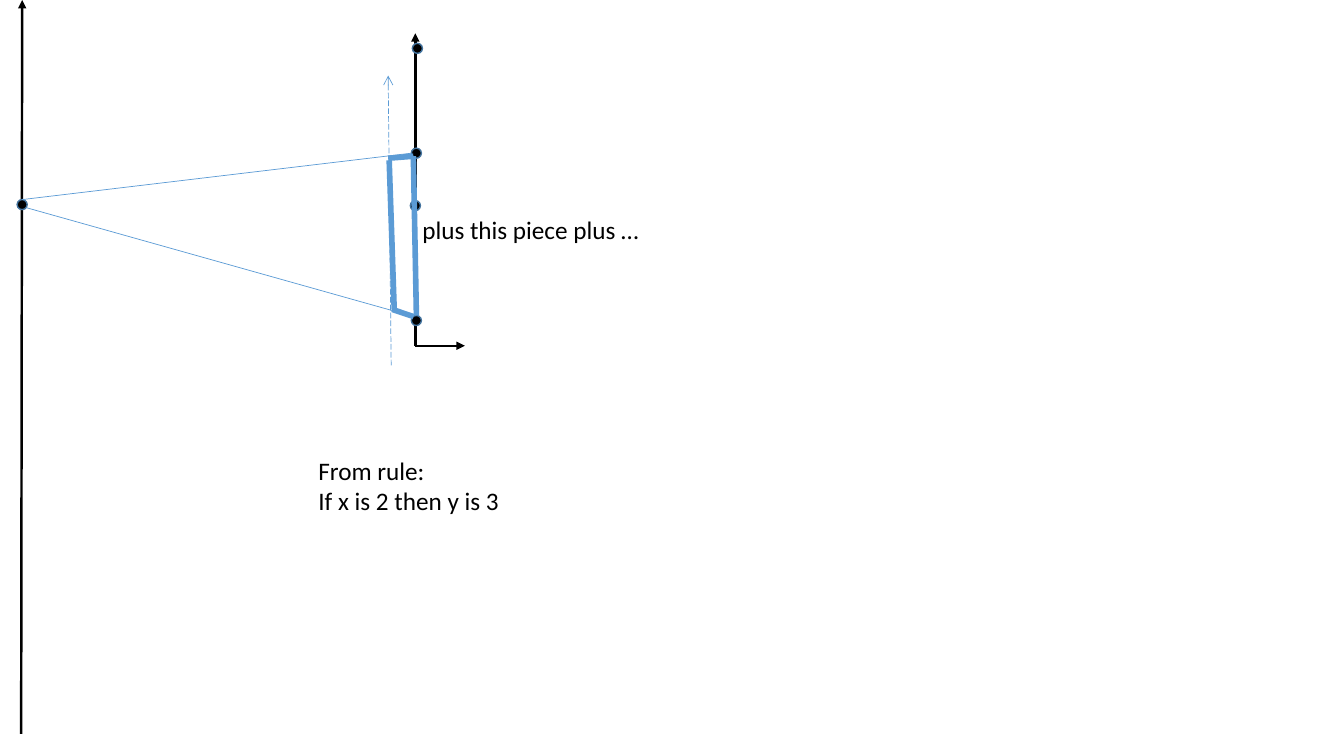
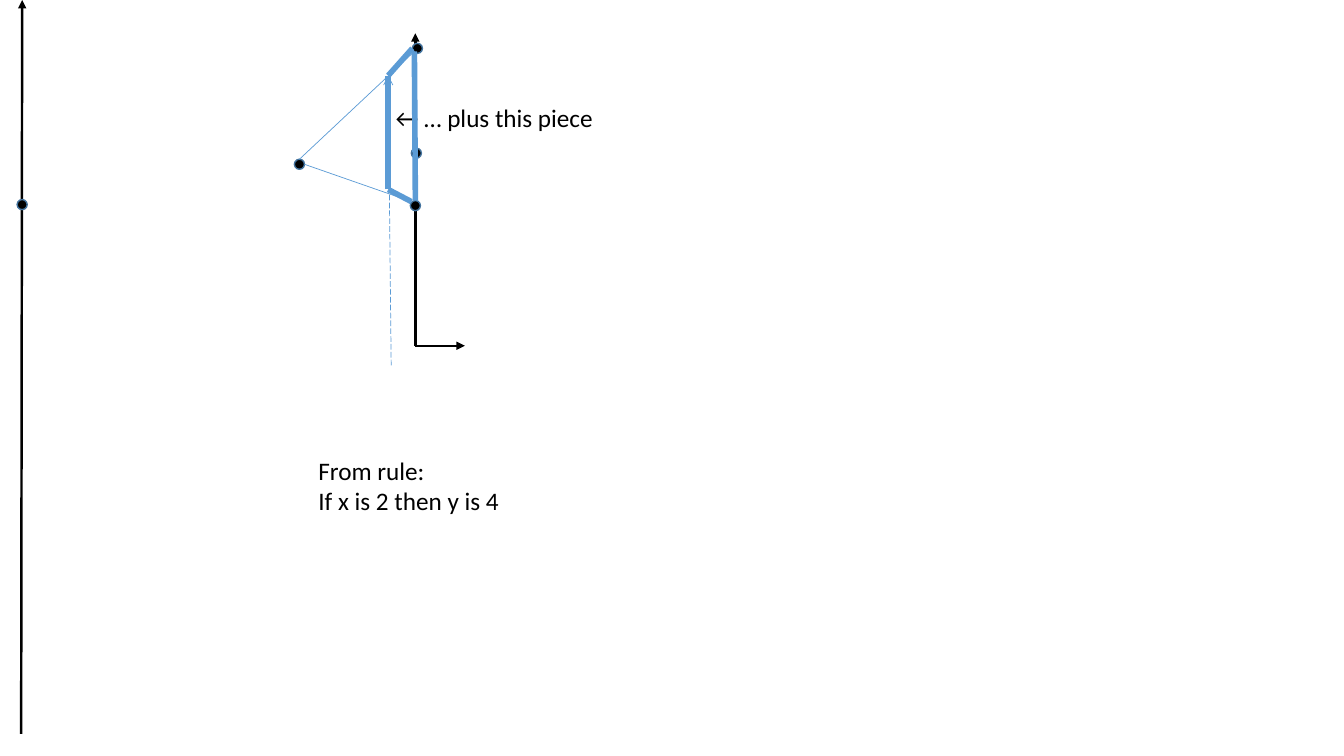
from lxml.etree import SubElement
from pptx import Presentation
from pptx.dml.color import RGBColor
from pptx.enum.dml import MSO_LINE
from pptx.enum.shapes import MSO_CONNECTOR, MSO_SHAPE
from pptx.enum.text import MSO_AUTO_SIZE, PP_ALIGN
from pptx.oxml.ns import qn
from pptx.util import Inches, Pt

BLACK, BLUE, DOT_EDGE = "000000", "5B9BD5", "43739E"
FONT, TEXT_SIZE = "Calibri", 18
DOT_SIZE = 0.1
AXIS_WIDTH, RAY_WIDTH, PIECE_WIDTH = 1.75, 0.5, 4

# Lines are (x1, y1, x2, y2); dots are (left, top); boxes are (left, top, width, height).
SLICE_LINE = (3.85, 0.75, 3.88, 3.64)
AXES = [
    (4.12, 3.43, 4.12, 0.33),
    (0.21, 7.28, 0.22, 0),
    (4.12, 3.43, 4.61, 3.43),
]
SHARED_DOTS = [(4.09, 0.43), (0.17, 1.98), (4.07, 1.99), (4.08, 1.47)]
RULE_BOX = (3.06, 4.47, 2.1, 0.71)

SLIDES = [
    {
        "extra_dot": (4.08, 3.13),
        "rays": [(0.26, 2.06, 4.1, 3.14), (0.22, 1.98, 4.08, 1.52)],
        "label": "plus this piece plus …",
        "label_box": (4.09, 2.08, 2.48, 0.4),
        "piece": [
            (3.86, 1.59, 3.91, 3.07),
            (4.1, 1.55, 3.85, 1.57),
            (4.1, 3.14, 3.89, 3.07),
            (4.13, 3.13, 4.1, 1.55),
        ],
        "rule": ["From rule:", "If x is 2 then y is 3"],
    },
    {
        "extra_dot": (2.92, 1.58),
        "rays": [(2.97, 1.58, 4.11, 0.51), (3.02, 1.63, 4.08, 2)],
        "label": " ← … plus this piece",
        "label_box": (3.77, 0.97, 3.65, 0.4),
        "piece": [
            (3.85, 0.75, 4.09, 0.48),
            (3.85, 1.88, 3.85, 0.75),
            (4.08, 2, 3.85, 1.88),
            (4.12, 1.99, 4.11, 0.51),
        ],
        "rule": ["From rule:", "If x is 2 then y is 4"],
    },
]


def color(hex_value):
    """Turn a hex string into a colour."""
    return RGBColor.from_string(hex_value)


def add_line(slide, points, line_color, width, dash=None, head=None, tail=None):
    """Draw a straight line, with optional dashes and arrowheads."""
    connector = slide.shapes.add_connector(
        MSO_CONNECTOR.STRAIGHT, *[Inches(value) for value in points]
    )
    connector.line.color.rgb = color(line_color)
    connector.line.width = Pt(width)
    if dash:
        connector.line.dash_style = dash
    properties = connector.element.spPr
    outline = properties.find(qn("a:ln"))
    for tag, arrow in (("a:headEnd", head), ("a:tailEnd", tail)):
        if arrow:
            SubElement(outline, qn(tag)).set("type", arrow)
    SubElement(properties, qn("a:effectLst"))


def add_dot(slide, left, top):
    """Draw one round point."""
    shape = slide.shapes.add_shape(
        MSO_SHAPE.OVAL, Inches(left), Inches(top), Inches(DOT_SIZE), Inches(DOT_SIZE)
    )
    shape.shadow.inherit = False
    shape.fill.solid()
    shape.fill.fore_color.rgb = color(BLACK)
    shape.line.color.rgb = color(DOT_EDGE)
    shape.line.width = Pt(1)


def add_text(slide, box, lines):
    """Write each line as a paragraph in a text box."""
    frame = slide.shapes.add_textbox(*[Inches(value) for value in box]).text_frame
    frame.word_wrap = True
    frame.auto_size = MSO_AUTO_SIZE.SHAPE_TO_FIT_TEXT
    for index, line in enumerate(lines):
        paragraph = frame.add_paragraph() if index else frame.paragraphs[0]
        paragraph.alignment = PP_ALIGN.LEFT
        run = paragraph.add_run()
        run.text = line
        run.font.name = FONT
        run.font.size = Pt(TEXT_SIZE)
        run.font.color.rgb = color(BLACK)


def add_diagram(presentation, content):
    """Build one slide: shared axes and dots, then its own piece and texts."""
    slide = presentation.slides.add_slide(presentation.slide_layouts[6])
    add_line(slide, SLICE_LINE, BLUE, RAY_WIDTH, dash=MSO_LINE.LONG_DASH, head="arrow")
    for axis in AXES:
        add_line(slide, axis, BLACK, AXIS_WIDTH, tail="triangle")
    for dot in SHARED_DOTS + [content["extra_dot"]]:
        add_dot(slide, *dot)
    for ray in content["rays"]:
        add_line(slide, ray, BLUE, RAY_WIDTH)
    add_text(slide, content["label_box"], [content["label"]])
    for edge in content["piece"]:
        add_line(slide, edge, BLUE, PIECE_WIDTH)
    add_text(slide, RULE_BOX, content["rule"])


presentation = Presentation()
presentation.slide_width = Inches(13.33)
presentation.slide_height = Inches(7.5)
for content in SLIDES:
    add_diagram(presentation, content)
presentation.save("out.pptx")
